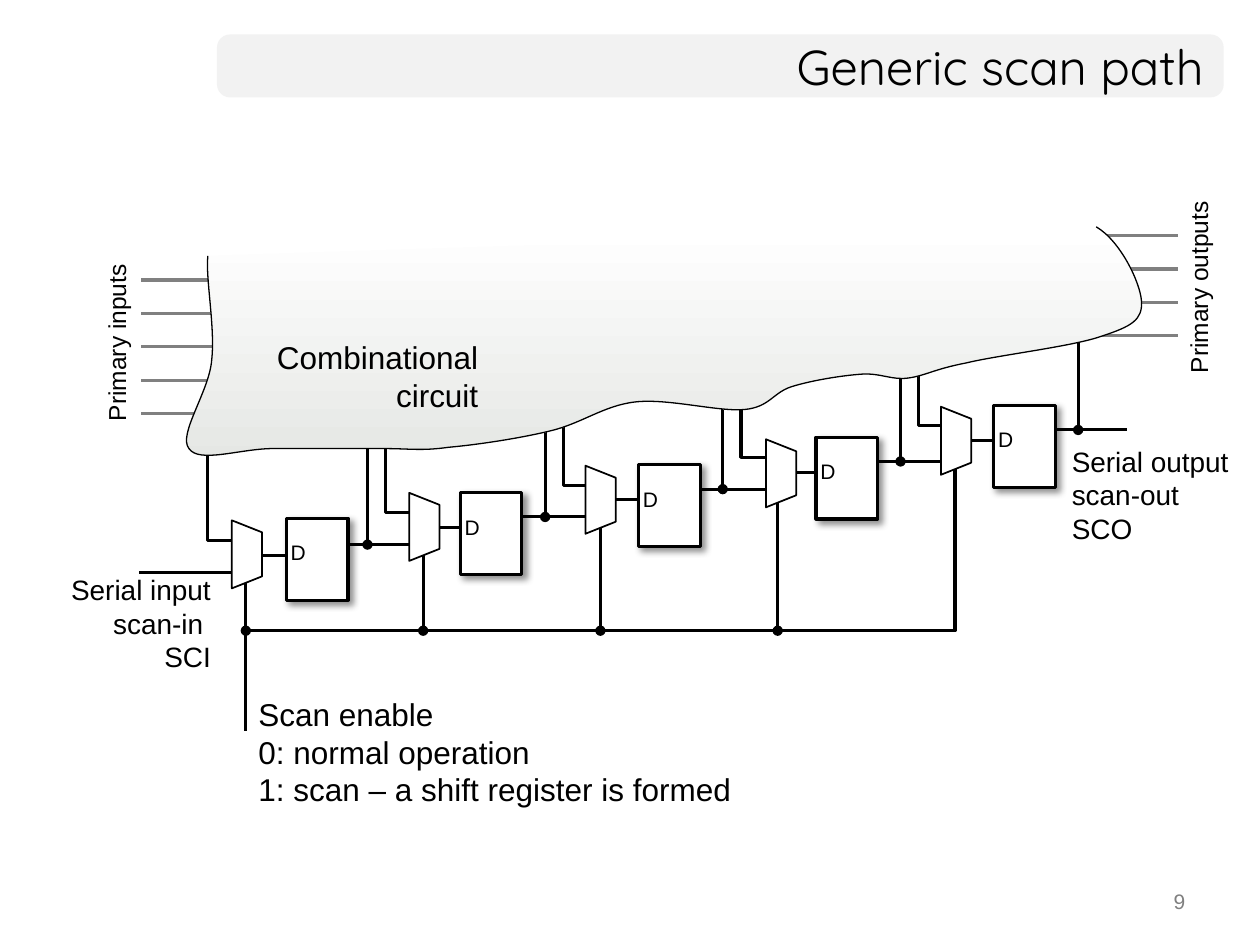
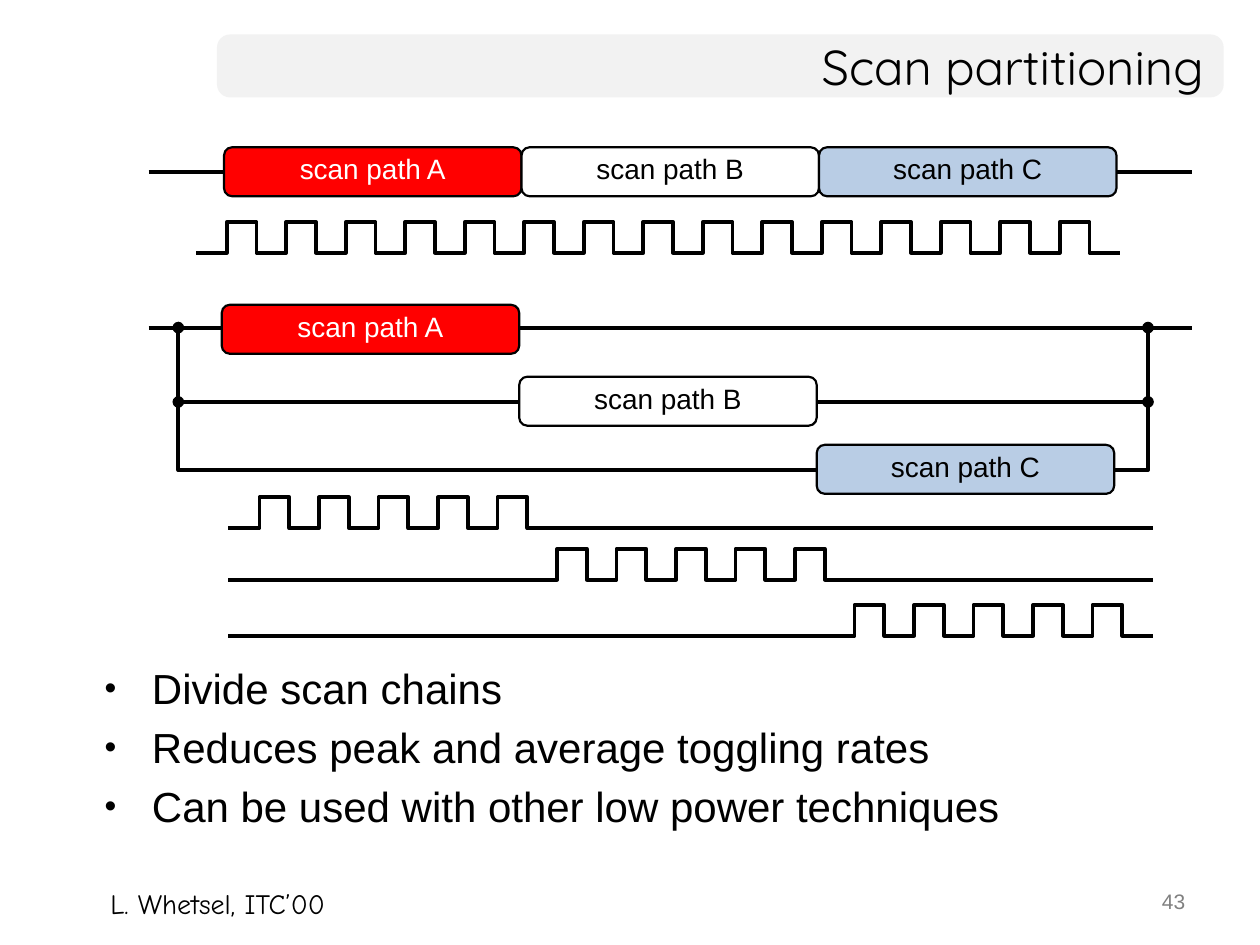
import copy
from dataclasses import dataclass

import lxml.etree
import pptx
import pptx.dml.color
import pptx.enum.shapes
import pptx.enum.text
import pptx.oxml.ns
import pptx.util

Pt = pptx.util.Pt
RGB = pptx.dml.color.RGBColor
qn = pptx.oxml.ns.qn
SHAPE = pptx.enum.shapes.MSO_SHAPE
ALIGN = pptx.enum.text.PP_ALIGN
MIDDLE = pptx.enum.text.MSO_ANCHOR.MIDDLE
TOP = pptx.enum.text.MSO_ANCHOR.TOP
Point = tuple[float, float]


@dataclass(frozen=True)
class Theme:
    black: RGB = RGB(0x00, 0x00, 0x00)
    white: RGB = RGB(0xFF, 0xFF, 0xFF)
    grey: RGB = RGB(0x80, 0x80, 0x80)
    band: RGB = RGB(0xF2, 0xF2, 0xF2)
    cloud: RGB = RGB(0xE5, 0xE7, 0xE4)
    red: RGB = RGB(0xFF, 0x00, 0x00)
    blue: RGB = RGB(0xB9, 0xCD, 0xE5)
    text_font: str = "Arial"
    title_font: str = "Quicksand"
    citation_font: str = "Comic Neue"
    title_size: float = 28
    list_size: float = 24
    note_size: float = 18
    label_size: float = 16
    side_size: float = 14
    small_size: float = 12


THEME = Theme()


@dataclass(frozen=True)
class Box:
    left: float
    top: float
    width: float
    height: float

    def lengths(self) -> list[int]:
        return [Pt(value) for value in (self.left, self.top, self.width, self.height)]


@dataclass(frozen=True)
class Stage:
    """One multiplexer (by its centre) and flip-flop (by its corner) of the scan chain."""
    shift: float
    rise: float
    multiplexer: Point
    flip_flop: Point

    def at(self, x: float, y: float) -> Point:
        return x + self.shift, y - self.rise


@dataclass(frozen=True)
class ScanPath:
    name: str
    fill: RGB
    text: RGB
    row_top: float
    clock_low: float


STAGES = [
    Stage(0, 0, (141.1, 316.8), (163.6, 296.1)),
    Stage(101.5, 15.8, (242.5, 301.1), (263, 281.6)),
    Stage(203, 31.7, (343.2, 285.6), (364.9, 265.6)),
    Stage(304.6, 47.5, (446.3, 270.5), (466.3, 249.8)),
    Stage(406.1, 65.5, (546.3, 251.9), (567.9, 231.8)),
]

PATH_WIDTH, PATH_HEIGHT = 170, 28
PULSES_PER_PATH = 5
PULSE_PITCH = PATH_WIDTH / PULSES_PER_PATH
SCAN_PATHS = [
    ScanPath("scan path A", THEME.red, THEME.white, 174.2, 301.7),
    ScanPath("scan path B", THEME.white, THEME.black, 215.3, 331.2),
    ScanPath("scan path C", THEME.blue, THEME.black, 254.2, 363.2),
]

# Outline of the combinational circuit: start, then two controls and an end per curve
CLOUD_START = (118.8, 146.2)
CLOUD_CURVES = [
    ((117.4, 159.1), (123.1, 187.2), (121, 205.9)),
    ((119.5, 223.9), (101.5, 248.4), (108, 256.3)),
    ((113.8, 265), (137.5, 256.3), (156.2, 256.3)),
    ((177, 256.3), (197, 256.3), (218.2, 256.3)),
    ((234.7, 256.3), (240.5, 257.8), (256.3, 255.6)),
    ((272.2, 254.2), (296.6, 250.6), (314.6, 246.2)),
    ((332.6, 241.9), (344.9, 231.8), (362.9, 229.7)),
    ((381.6, 227.5), (410.4, 235.4), (425.5, 234)),
    ((439.9, 232.6), (441.4, 224.6), (452.2, 221)),
    ((463.7, 217.4), (481, 214.6), (492.5, 213.8)),
    ((503.3, 213.1), (509.8, 217.4), (519.1, 216)),
    ((529.2, 214.6), (533.5, 211), (552.2, 207.4)),
    ((570.2, 203), (612.7, 198), (629.3, 192.2)),
    ((646.6, 186.5), (653, 182.9), (652.3, 172.1)),
    ((651.6, 161.3), (640.1, 137.5), (626.4, 129.6)),
]


# Shared helpers

def apply_format(target, values: dict) -> None:
    for name, value in values.items():
        setattr(target, name, value)


def place(shape, box: Box) -> None:
    apply_format(shape, dict(zip(("left", "top", "width", "height"), box.lengths())))


def write(shape, text: str, size: float, font: str = THEME.text_font,
          color: RGB = THEME.black, align=ALIGN.LEFT, anchor=MIDDLE,
          wrap: bool = True) -> None:
    """Fill a shape; a vertical tab in the text is a line break."""
    frame = shape.text_frame
    frame.text = text
    apply_format(frame, {"auto_size": pptx.enum.text.MSO_AUTO_SIZE.NONE,
                         "word_wrap": wrap, "vertical_anchor": anchor})
    for paragraph in frame.paragraphs:
        paragraph.alignment = align
        for run in paragraph.runs:
            apply_format(run.font, {"size": Pt(size), "name": font})
            run.font.color.rgb = color
        for line_break in paragraph._p.findall(qn("a:br")):
            line_break.append(copy.deepcopy(paragraph.runs[0]._r.rPr))


def add_label(slide, box: Box, text: str, size: float, rotation: float = 0, **style) -> None:
    shape = slide.shapes.add_textbox(*box.lengths())
    shape.rotation = rotation
    write(shape, text, size, **style)


def set_line(shape, width: float, color: RGB = THEME.black) -> None:
    shape.line.color.rgb = color
    shape.line.width = Pt(width)


def add_block(slide, kind, box: Box, fill: RGB, line_width: float = 0,
              adjustment: float | None = None):
    shape = slide.shapes.add_shape(kind, *box.lengths())
    shape.shadow.inherit = False
    shape.fill.solid()
    shape.fill.fore_color.rgb = fill
    if line_width:
        set_line(shape, line_width)
    else:
        shape.line.fill.background()
    if adjustment is not None:
        shape.adjustments[0] = adjustment
    return shape


def add_outline(slide, points: list[Point]):
    corners = [(Pt(x), Pt(y)) for x, y in points]
    builder = slide.shapes.build_freeform(*corners[0], scale=1.0)
    builder.add_line_segments(corners[1:], close=False)
    shape = builder.convert_to_shape()
    shape.shadow.inherit = False
    return shape


def add_wire(slide, points: list[Point], width: float = 1.75,
             color: RGB = THEME.black, dots: tuple[str, ...] = ()) -> None:
    """Draw a straight connector or a bent line; dots names the ends with a junction."""
    if len(points) == 2:
        ends = [Pt(value) for point in points for value in point]
        shape = slide.shapes.add_connector(pptx.enum.shapes.MSO_CONNECTOR.STRAIGHT, *ends)
        set_line(shape, width, color)
        lxml.etree.SubElement(shape._element.spPr, qn("a:effectLst"))
    else:
        shape = add_outline(slide, points)
        shape.fill.background()
        set_line(shape, width, color)
    outline = shape._element.spPr.find(qn("a:ln"))
    for end in dots:
        lxml.etree.SubElement(outline, qn(f"a:{end}"), type="oval")


def add_slide(presentation, layout: int, title: str, number: str):
    slide = presentation.slides.add_slide(presentation.slide_layouts[layout])
    place(slide.shapes.title, Box(124, 19.6, 571, 36))
    write(slide.shapes.title, title, THEME.title_size, THEME.title_font, align=ALIGN.RIGHT)
    add_label(slide, Box(516.4, 504, 168, 25.2), number, THEME.small_size,
              color=THEME.grey, align=ALIGN.RIGHT, anchor=TOP)
    return slide


def move_band_to_master(presentation, slide) -> None:
    band = add_block(slide, SHAPE.ROUNDED_RECTANGLE, Box(124, 19.7, 575.3, 36),
                     THEME.band, adjustment=0.208)
    presentation.slide_master.shapes._spTree.insert(2, band._element)


# Generic scan path

def add_cloud(slide) -> None:
    cloud = add_outline(slide, [CLOUD_START] + [point for curve in CLOUD_CURVES for point in curve])
    lines = list(cloud._element.iter(qn("a:lnTo")))
    for index in range(0, len(lines), 3):
        curve = lxml.etree.SubElement(lines[index].getparent(), qn("a:cubicBezTo"))
        for line in lines[index:index + 3]:
            curve.append(line[0])
            line.getparent().remove(line)
    cloud.fill.gradient()
    cloud.fill.gradient_angle = 270
    for stop, color in zip(cloud.fill.gradient_stops, (THEME.white, THEME.cloud)):
        stop.color.rgb = color
    set_line(cloud, 0.75)


def add_flip_flop(slide, left: float, top: float) -> None:
    shape = add_block(slide, SHAPE.RECTANGLE, Box(left, top, 35.3, 46.8), THEME.white, 1.75)
    effects = shape._element.spPr.find(qn("a:effectLst"))
    shadow = lxml.etree.SubElement(effects, qn("a:outerShdw"), blurRad=str(Pt(4)),
                                   dist=str(Pt(3)), dir=str(45 * 60000))
    color = lxml.etree.SubElement(shadow, qn("a:srgbClr"), val=str(THEME.black))
    lxml.etree.SubElement(color, qn("a:alpha"), val="43000")
    add_label(slide, Box(left - 4.7, top + 8.6, 23, 21.6), "D", THEME.small_size,
              align=ALIGN.CENTER, wrap=False)


def add_multiplexer(slide, x: float, y: float) -> None:
    width, height = 38.9, 17.3
    shape = add_block(slide, SHAPE.TRAPEZOID, Box(x - width / 2, y - height / 2, width, height),
                      THEME.white, 1, 0.397)
    shape.rotation = 90


def build_generic_scan_path(presentation) -> None:
    slide = add_slide(presentation, 5, "Generic scan path", "9")
    move_band_to_master(presentation, slide)

    # Wires and pins that end behind the circuit
    for stage in STAGES:
        add_wire(slide, [stage.at(136.8, 308.9), stage.at(118.8, 308.9), stage.at(118.8, 249.1)])
        add_wire(slide, [stage.at(210, 251.4), stage.at(210, 311.2)], dots=("tailEnd",))
    for left, top, count in ((613.4, 134.6, 4), (80.6, 160, 5)):
        for index in range(count):
            y = top + 19.1 * index
            add_wire(slide, [(left, y), (left + 59.8, y)], color=THEME.grey)
    add_cloud(slide)

    # Scan chain and scan enable bus
    bus_y, enable_x, enable_pitch = 360.4, 140.5, 101.3
    for stage in STAGES:
        add_wire(slide, [stage.at(147.6, 317.4), stage.at(177.8, 317.4)])
        add_wire(slide, [stage.at(181.4, 311.2), stage.at(237.8, 311.2)])
    for index, stage in enumerate(STAGES[:-1]):
        x = enable_x + index * enable_pitch
        add_wire(slide, [(x, stage.multiplexer[1]), (x, bus_y)], dots=("tailEnd",))
    last_x = enable_x + 4 * enable_pitch
    add_wire(slide, [(enable_x, 417.6), (enable_x, bus_y), (last_x, bus_y), (last_x, 258.5)])
    add_wire(slide, [(133.2, 326.9), (79.2, 326.9)])
    for stage in STAGES:
        add_flip_flop(slide, *stage.flip_flop)
        add_multiplexer(slide, *stage.multiplexer)

    # Labels
    add_label(slide, Box(8.8, 323.2, 118.8, 65.5), "Serial input\nscan-in \vSCI",
              THEME.label_size, align=ALIGN.RIGHT)
    add_label(slide, Box(605.4, 249.8, 108, 65.5), "Serial output\nscan-out \vSCO",
              THEME.label_size)
    add_label(slide, Box(140.6, 393.1, 287.3, 72.7),
              "Scan enable\n0: normal operation\n1: scan – a shift register is formed",
              THEME.note_size, wrap=False)
    add_label(slide, Box(149.4, 189.4, 131, 51.1), "Combinational\vcircuit",
              THEME.note_size, align=ALIGN.RIGHT, wrap=False)
    for text, box in (("Primary inputs", Box(13.9, 183.6, 105.1, 24.5)),
                      ("Primary outputs", Box(627.8, 151.9, 113.8, 24.5))):
        add_label(slide, box, text, THEME.side_size, 270, align=ALIGN.CENTER, wrap=False)


# Scan partitioning

def add_scan_path(slide, scan_path: ScanPath, left: float, top: float) -> None:
    shape = add_block(slide, SHAPE.ROUNDED_RECTANGLE, Box(left, top, PATH_WIDTH, PATH_HEIGHT),
                      scan_path.fill, 1.25, 0.167)
    write(shape, scan_path.name, THEME.label_size, color=scan_path.text,
          align=ALIGN.CENTER, wrap=False)
    apply_format(shape.text_frame, {"margin_top": Pt(3.6), "margin_bottom": Pt(7.2)})


def add_clock(slide, start: float, end: float, low: float, first_rise: float, pulses: int) -> None:
    high = low - 17.5
    points = [(start, low)]
    for index in range(pulses):
        rise = first_rise + index * PULSE_PITCH
        fall = rise + PULSE_PITCH / 2
        points += [(rise, low), (rise, high), (fall, high), (fall, low)]
    add_wire(slide, points + [(end, low)], 2.25)


def add_bullets(shape, lines: list[str]) -> None:
    place(shape, Box(52.6, 375.1, 648, 108))
    write(shape, "\n".join(lines), THEME.list_size, anchor=TOP)
    for index, paragraph in enumerate(shape.text_frame.paragraphs):
        properties = paragraph._p.get_or_add_pPr()
        apply_indent = {"marL": Pt(27), "indent": Pt(-27)}
        for name, value in apply_indent.items():
            properties.set(name, str(value))
        lxml.etree.SubElement(properties, qn("a:buSzPct"), val="80000")
        lxml.etree.SubElement(properties, qn("a:buChar"), char="•")
        paragraph.space_before = Pt(4.8 if index else 0)


def build_scan_partitioning(presentation) -> None:
    slide = add_slide(presentation, 1, "Scan partitioning", "43")
    # Scan lines, with two parallel branches under the second
    for y in (98.4, 187.2):
        add_wire(slide, [(85, y), (681.1, y)], 2.25)
    left, right = 101.9, 656
    for top, bottom in ((229.7, 268.6), (187.2, 229.7)):
        add_wire(slide, [(left, top), (left, bottom), (right, bottom), (right, top)],
                 2.25, dots=("headEnd", "tailEnd"))
    # Whole chain with one clock, then the parts with a clock each
    add_clock(slide, 112.3, 640.1, 144.4, 129.6, PULSES_PER_PATH * len(SCAN_PATHS))
    for index, scan_path in enumerate(SCAN_PATHS):
        shift = index * PATH_WIDTH
        add_scan_path(slide, scan_path, 128 + shift, 84.2)
        add_scan_path(slide, scan_path, 126.7 + shift, scan_path.row_top)
        add_clock(slide, 130.5, 658.8, scan_path.clock_low, 148.3 + shift, PULSES_PER_PATH)
    add_bullets(slide.placeholders[1], ["Divide scan chains",
                                        "Reduces peak and average toggling rates",
                                        "Can be used with other low power techniques"])
    add_label(slide, Box(56, 503.3, 157.7, 26.6), "L. Whetsel, ITC’00", THEME.label_size,
              font=THEME.citation_font, anchor=TOP, wrap=False)


if __name__ == "__main__":
    deck = pptx.Presentation()
    apply_format(deck, {"slide_width": Pt(720), "slide_height": Pt(540)})
    build_generic_scan_path(deck)
    build_scan_partitioning(deck)
    deck.save("out.pptx")
